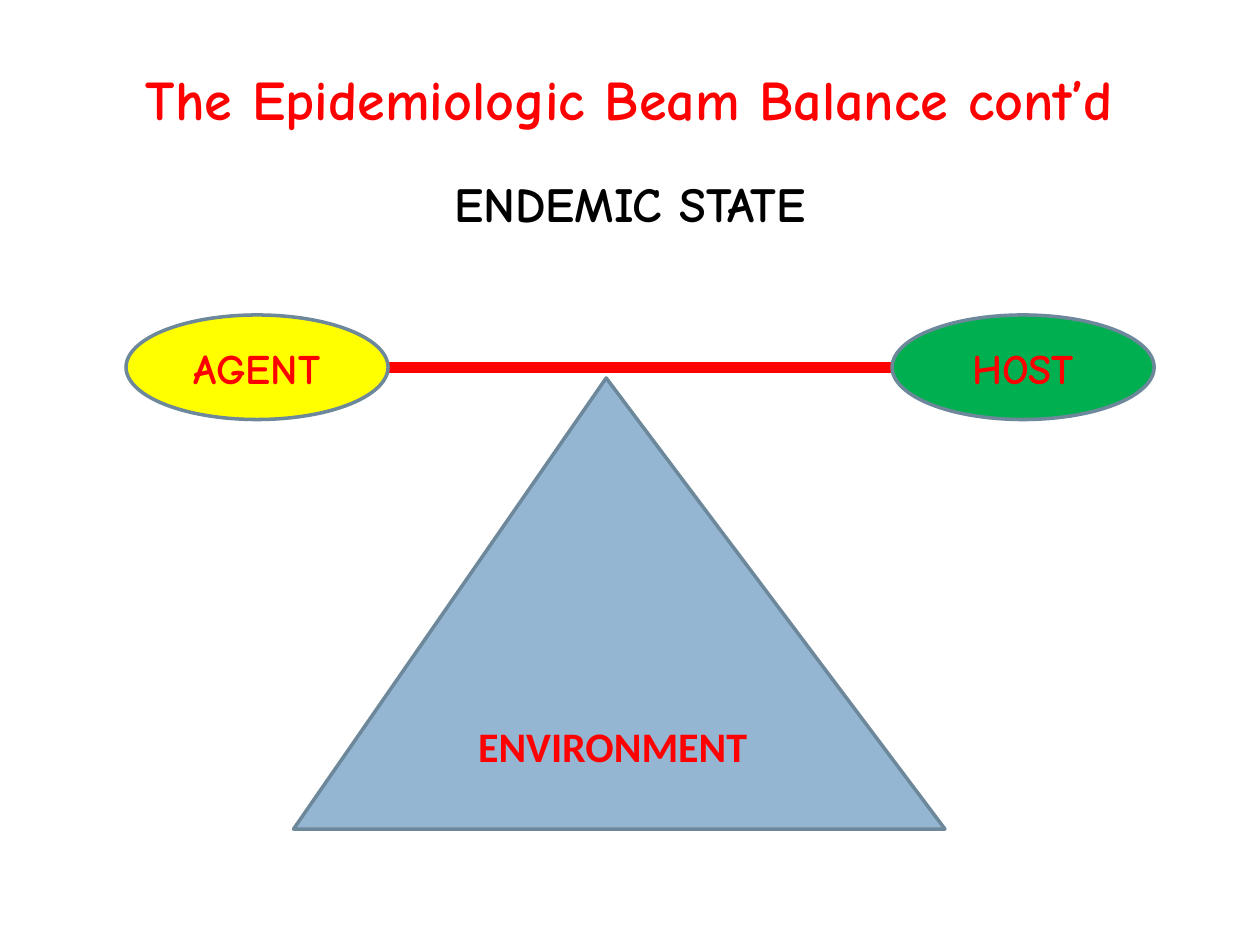
import pptx
import pptx.util
from lxml import etree
from pptx.dml.color import RGBColor
from pptx.enum.shapes import MSO_CONNECTOR, MSO_SHAPE
from pptx.enum.text import MSO_ANCHOR, PP_ALIGN
from pptx.oxml.ns import qn
from pptx.util import Inches

RED = RGBColor(0xFF, 0, 0)
BLACK = RGBColor(0, 0, 0)
BLUE = RGBColor(0x94, 0xB6, 0xD2)
SLATE = RGBColor(0x6D, 0x87, 0x9B)
YELLOW = RGBColor(0xFF, 0xFF, 0)
GREEN = RGBColor(0, 0xB0, 0x50)

LEFT, RIGHT = 1, 7.08
PAN_TOP, PAN_WIDE, PAN_HIGH = 2.5, 2.08, 0.83


class Board:
    font = "Comic Neue"
    edge = 2

    def __init__(self, slide):
        self.slide = slide

    def label(self, shape, text, size, color, font=None, anchor=MSO_ANCHOR.MIDDLE):
        """Put one centred bold line into a shape."""
        frame = shape.text_frame
        frame.word_wrap = True
        frame.vertical_anchor = anchor
        frame.text = text
        line = frame.paragraphs[0]
        line.alignment = PP_ALIGN.CENTER
        style = line.runs[0].font
        style.name = font or self.font
        style.size = pptx.util.Pt(size)
        style.bold = True
        style.color.rgb = color

    def text(self, box, text, size, color, anchor):
        shape = self.slide.shapes.add_textbox(*map(Inches, box))
        self.label(shape, text, size, color, anchor=anchor)

    def shape(self, kind, box, fill, text, font=None):
        shape = self.slide.shapes.add_shape(kind, *map(Inches, box))
        shape.shadow.inherit = False
        shape.fill.solid()
        shape.fill.fore_color.rgb = fill
        shape.line.color.rgb = SLATE
        shape.line.width = pptx.util.Pt(self.edge)
        self.label(shape, text, 24, RED, font)
        return shape

    def beam(self, start, end, level):
        line = self.slide.shapes.add_connector(
            MSO_CONNECTOR.STRAIGHT, *map(Inches, (start, level, end, level)))
        line.line.color.rgb = RED
        line.line.width = pptx.util.Pt(6)
        etree.SubElement(line._element.spPr, qn("a:effectLst"))


def main():
    deck = pptx.Presentation()
    deck.slide_width, deck.slide_height = Inches(10), Inches(7.5)
    board = Board(deck.slides.add_slide(deck.slide_layouts[6]))

    board.text((0.5, 0.3, 9, 0.95), "The Epidemiologic Beam Balance cont’d",
               32, RED, MSO_ANCHOR.MIDDLE)
    board.text((0.5, 1.33, 9, 5.37), "ENDEMIC STATE", 28, BLACK, MSO_ANCHOR.TOP)

    base = board.shape(MSO_SHAPE.ISOSCELES_TRIANGLE, (2.33, 3, 5.17, 3.58),
                       BLUE, "ENVIRONMENT", "Calibri")
    base.adjustments[0] = 0.48
    base.text_frame.margin_top = Inches(0.52)

    board.beam(2.82, 7.49, PAN_TOP + PAN_HIGH / 2)
    for left, fill, name in ((LEFT, YELLOW, "AGENT"), (RIGHT, GREEN, "HOST")):
        board.shape(MSO_SHAPE.OVAL, (left, PAN_TOP, PAN_WIDE, PAN_HIGH), fill, name)

    deck.save("out.pptx")


if __name__ == "__main__":
    main()
